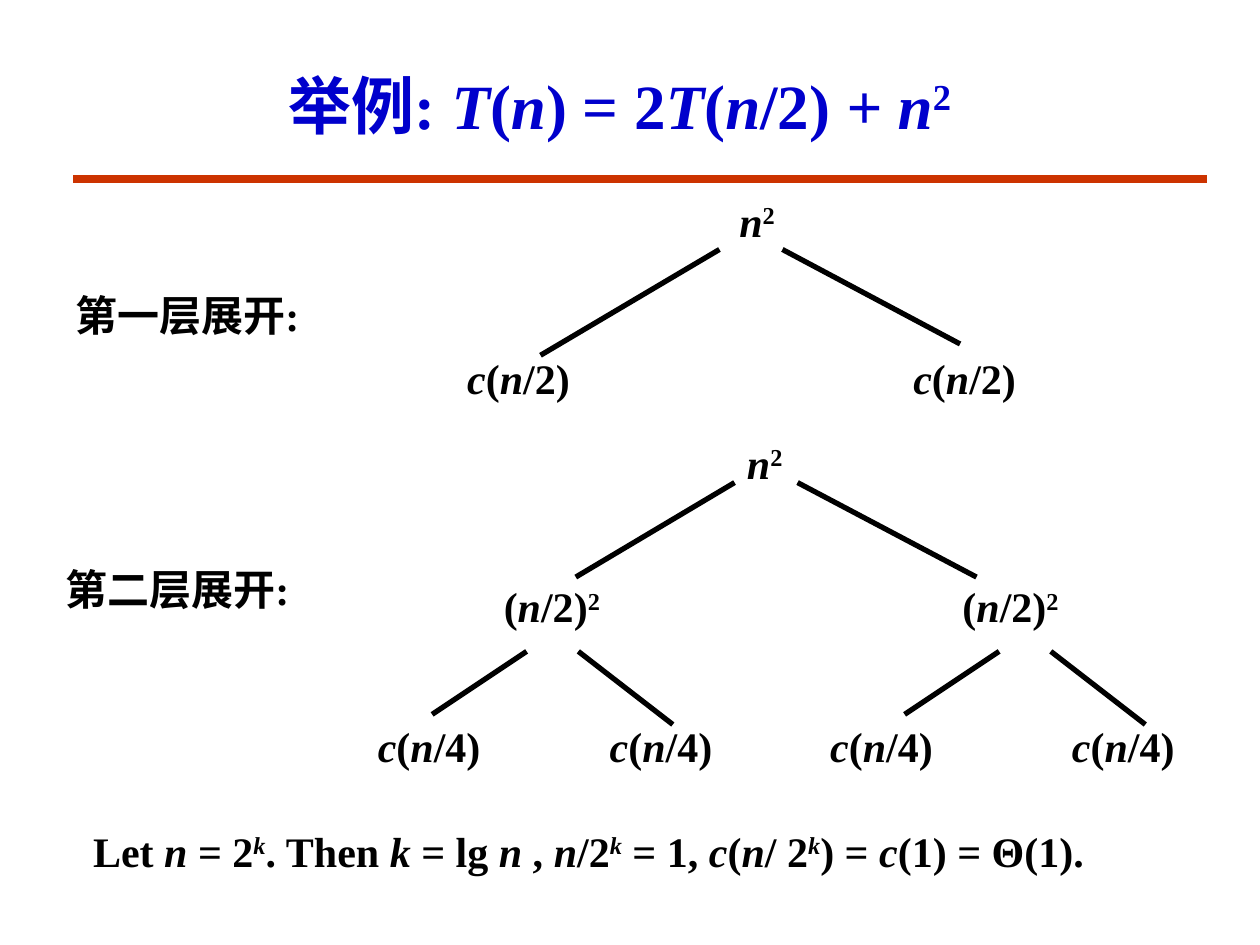
"""Build a slide that expands the recurrence T(n) = 2T(n/2) + n² as trees."""
from typing import NamedTuple

from pptx import Presentation
from pptx.dml.color import RGBColor
from pptx.enum.shapes import MSO_CONNECTOR
from pptx.enum.text import MSO_ANCHOR, MSO_AUTO_SIZE, PP_ALIGN
from pptx.oxml.ns import qn
from pptx.util import Inches, Pt
from lxml import etree

STRAIGHT = MSO_CONNECTOR.STRAIGHT
MIDDLE = MSO_ANCHOR.MIDDLE
CENTER = PP_ALIGN.CENTER
FIT_SHAPE = MSO_AUTO_SIZE.SHAPE_TO_FIT_TEXT
NO_FIT = MSO_AUTO_SIZE.NONE
TITLE_ONLY = 5
FONT = "Times New Roman"
BLACK, BLUE, RED = "000000", "0000CC", "CC3300"


class Span(NamedTuple):
    text: str
    italic: bool = False
    raised: bool = False


class Label(NamedTuple):
    left: float
    top: float
    width: float
    spans: list[Span]
    wrap: bool = False


class Branch(NamedTuple):
    start_x: float
    start_y: float
    end_x: float
    end_y: float


def variable(name: str) -> Span:
    return Span(name, italic=True)


def exponent(text: str, italic: bool = False) -> Span:
    return Span(text, italic, raised=True)


def cost(divisor: int) -> list[Span]:
    return [variable("c"), Span("("), variable("n"), Span(f"/{divisor})")]


N = variable("n")
K = variable("k")
POWER_K = exponent("k", italic=True)
SQUARE = [N, exponent("2")]
HALF_SQUARE = [Span("("), N, Span("/2)"), exponent("2")]
TITLE = [
    Span("举例: "), variable("T"), Span("("), N, Span(") = 2"), variable("T"),
    Span("("), N, Span("/2) "), variable("+ n"), exponent("2"),
]
CONCLUSION = [
    Span("Let "), N, Span(" = 2"), POWER_K, Span(". Then "), K,
    Span(" = lg "), N, Span(" , "), N, Span("/2"), POWER_K, Span(" = 1, "),
    variable("c"), Span("("), N, Span("/ 2"), POWER_K, Span(") = "),
    variable("c"), Span("(1) = Θ(1)."),
]

LABELS = [
    Label(5.77, 1.5, 0.67, SQUARE),
    *(Label(left, 2.75, 1.11, cost(2)) for left in (3.61, 7.15)),
    Label(5.83, 3.42, 0.59, SQUARE),
    *(Label(left, 4.56, 1.07, HALF_SQUARE) for left in (3.9, 7.54)),
    Label(2.9, 5.67, 1.11, cost(4)),
    *(Label(left, 5.67, 1.03, cost(4)) for left in (4.74, 6.49, 8.41)),
    Label(0.64, 6.5, 8.28, CONCLUSION),
    Label(0.5, 2.25, 2, [Span("第一层展开:")], wrap=True),
    Label(0.42, 4.42, 2, [Span("第二层展开:")], wrap=True),
]
BRANCHES = [
    Branch(6.21, 1.98, 7.62, 2.73),
    Branch(5.71, 1.98, 4.29, 2.82),
    Branch(6.33, 3.83, 7.75, 4.58),
    Branch(5.83, 3.83, 4.57, 4.58),
]
for shift in (0, 3.75):
    BRANCHES += [
        Branch(4.59 + shift, 5.17, 5.34 + shift, 5.75),
        Branch(4.18 + shift, 5.17, 3.43 + shift, 5.67),
    ]


def color(value: str) -> RGBColor:
    return RGBColor.from_string(value)


def add_spans(paragraph, spans: list[Span], size: float, ink: str) -> None:
    for span in spans:
        run = paragraph.add_run()
        run.text = span.text
        run.font.name = FONT
        run.font.size = Pt(size)
        run.font.bold = True
        run.font.italic = span.italic
        run.font.color.rgb = color(ink)
        if span.raised:
            run.font._element.set("baseline", "30000")


def add_title(page) -> None:
    title = page.shapes.title
    title.left, title.top = Inches(0.67), Inches(0.33)
    title.width, title.height = Inches(8.5), Inches(1)
    frame = title.text_frame
    frame.auto_size = NO_FIT
    frame.vertical_anchor = MIDDLE
    paragraph = frame.paragraphs[0]
    paragraph.alignment = CENTER
    add_spans(paragraph, TITLE, 36, BLUE)


def add_line(page, branch: Branch, width: float, ink: str) -> None:
    line = page.shapes.add_connector(STRAIGHT, *map(Inches, branch))
    line.line.width = Pt(width)
    line.line.color.rgb = color(ink)
    etree.SubElement(line._element.spPr, qn("a:effectLst"))


def add_label(page, label: Label) -> None:
    box = page.shapes.add_textbox(
        Inches(label.left), Inches(label.top), Inches(label.width), Inches(0.5)
    )
    frame = box.text_frame
    frame.word_wrap = label.wrap
    frame.auto_size = FIT_SHAPE
    add_spans(frame.paragraphs[0], label.spans, 24, BLACK)


def main() -> None:
    deck = Presentation()
    deck.slide_width, deck.slide_height = Inches(10), Inches(7.5)
    page = deck.slides.add_slide(deck.slide_layouts[TITLE_ONLY])
    add_line(page, Branch(0.58, 1.42, 9.58, 1.42), 4.5, RED)
    add_title(page)
    for branch in BRANCHES:
        add_line(page, branch, 3, BLACK)
    for label in LABELS:
        add_label(page, label)
    deck.save("out.pptx")


if __name__ == "__main__":
    main()
